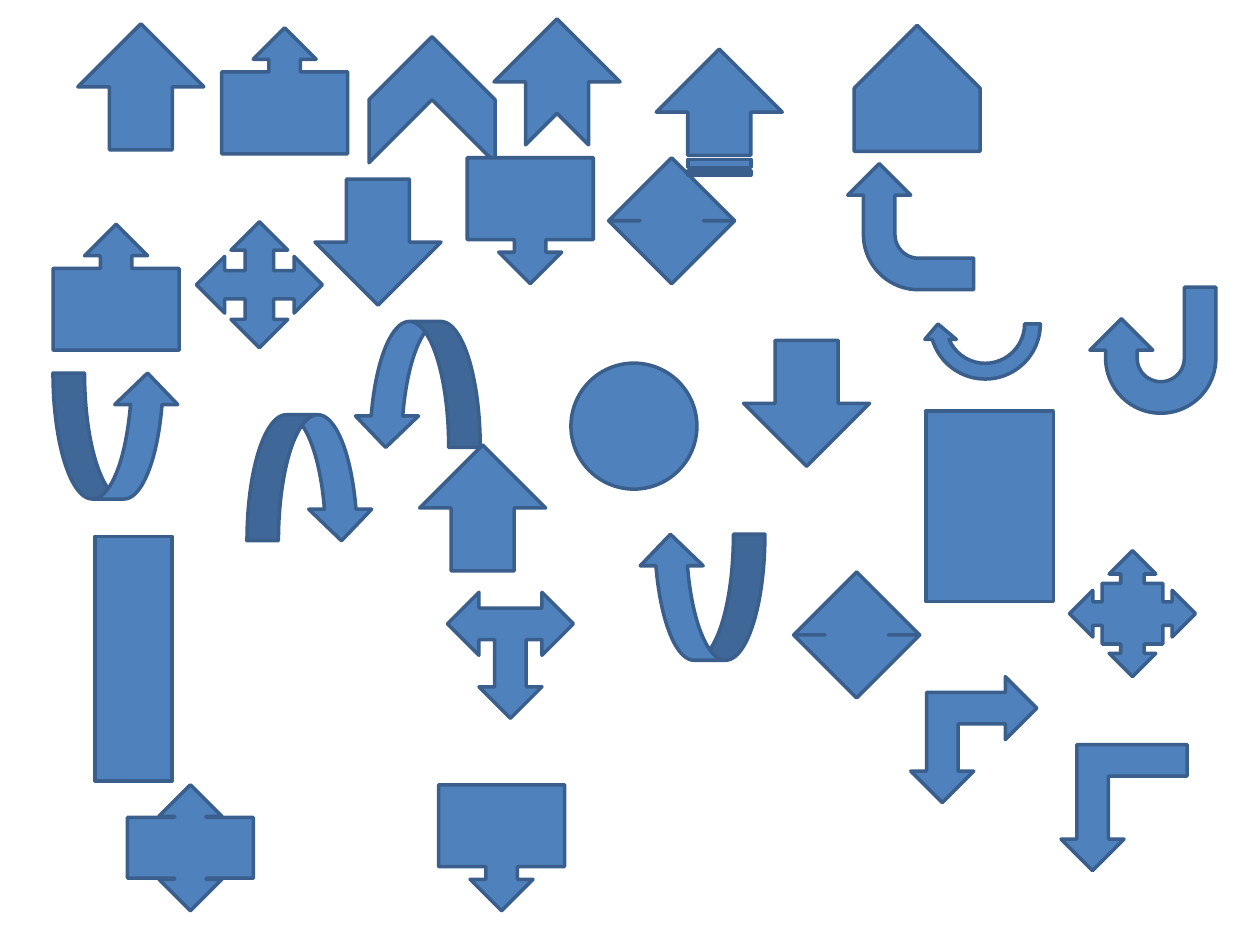
from pptx import Presentation
from pptx.dml.color import RGBColor
from pptx.enum.shapes import MSO_SHAPE
from pptx.util import Cm, Pt

BLUE = RGBColor(0x4F, 0x81, 0xBD)
DARK_BLUE = RGBColor(0x3A, 0x5F, 0x8C)
SIDE = 2.54
QUARTER_LEFT = 270
HALF_TURN = 180

SHAPES = [
    (MSO_SHAPE.RECTANGLE, QUARTER_LEFT, 0.23, 12.5, 4.93, 1.55),
    (MSO_SHAPE.OVAL, QUARTER_LEFT, 11.51, 7.32),
    (MSO_SHAPE.RECTANGLE, QUARTER_LEFT, 18.03, 8.92, 3.84, 2.57),
    (MSO_SHAPE.LEFT_ARROW, QUARTER_LEFT, 6.35, 3.61),
    (MSO_SHAPE.UP_ARROW, HALF_TURN, 14.99, 6.86),
    (MSO_SHAPE.DOWN_ARROW, HALF_TURN, 8.46, 8.97),
    (MSO_SHAPE.LEFT_RIGHT_ARROW, QUARTER_LEFT, 12.27, 3.18),
    (MSO_SHAPE.UP_DOWN_ARROW, HALF_TURN, 16, 11.53),
    (MSO_SHAPE.QUAD_ARROW, QUARTER_LEFT, 3.96, 4.47),
    (MSO_SHAPE.LEFT_RIGHT_UP_ARROW, HALF_TURN, 9.02, 11.94),
    (MSO_SHAPE.BENT_ARROW, QUARTER_LEFT, 17.09, 3.3),
    (MSO_SHAPE.U_TURN_ARROW, HALF_TURN, 21.97, 5.79),
    (MSO_SHAPE.LEFT_UP_ARROW, HALF_TURN, 18.36, 13.64),
    (MSO_SHAPE.BENT_UP_ARROW, HALF_TURN, 21.39, 15.01),
    (MSO_SHAPE.CURVED_RIGHT_ARROW, QUARTER_LEFT, 1.07, 7.52),
    (MSO_SHAPE.CURVED_LEFT_ARROW, QUARTER_LEFT, 4.98, 8.36),
    (MSO_SHAPE.CURVED_DOWN_ARROW, HALF_TURN, 12.88, 10.77),
    (MSO_SHAPE.CURVED_UP_ARROW, HALF_TURN, 7.14, 6.48),
    (MSO_SHAPE.STRIPED_RIGHT_ARROW, QUARTER_LEFT, 13.23, 0.99),
    (MSO_SHAPE.NOTCHED_RIGHT_ARROW, QUARTER_LEFT, 9.96, 0.38),
    (MSO_SHAPE.PENTAGON, QUARTER_LEFT, 17.22, 0.51),
    (MSO_SHAPE.CHEVRON, QUARTER_LEFT, 7.44, 0.74),
    (MSO_SHAPE.RIGHT_ARROW_CALLOUT, QUARTER_LEFT, 4.47, 0.56),
    (MSO_SHAPE.DOWN_ARROW_CALLOUT, HALF_TURN, 1.07, 4.52),
    (MSO_SHAPE.LEFT_ARROW_CALLOUT, QUARTER_LEFT, 9.42, 3.18),
    (MSO_SHAPE.UP_ARROW_CALLOUT, HALF_TURN, 8.84, 15.82),
    (MSO_SHAPE.LEFT_RIGHT_ARROW_CALLOUT, QUARTER_LEFT, 2.57, 15.82),
    (MSO_SHAPE.QUAD_ARROW_CALLOUT, QUARTER_LEFT, 21.56, 11.1),
    (MSO_SHAPE.CIRCULAR_ARROW, HALF_TURN, 18.59, 5.26),
    (MSO_SHAPE.RIGHT_ARROW, QUARTER_LEFT, 1.57, 0.48),
]


def add_turned_shape(page, kind, rotation, left, top, width=SIDE, height=SIDE):
    """Add a rotated blue preset shape, measured in centimetres."""
    shape = page.shapes.add_shape(kind, Cm(left), Cm(top), Cm(width), Cm(height))
    shape.rotation = rotation
    shape.shadow.inherit = False
    shape.fill.solid()
    shape.fill.fore_color.rgb = BLUE
    shape.line.color.rgb = DARK_BLUE
    shape.line.width = Pt(2)


def main():
    """Build the slide of rotated shapes and save it."""
    deck = Presentation()
    deck.slide_width, deck.slide_height = Cm(25.4), Cm(19.05)
    page = deck.slides.add_slide(deck.slide_layouts[6])
    for shape_details in SHAPES:
        add_turned_shape(page, *shape_details)
    deck.save("out.pptx")


if __name__ == "__main__":
    main()
